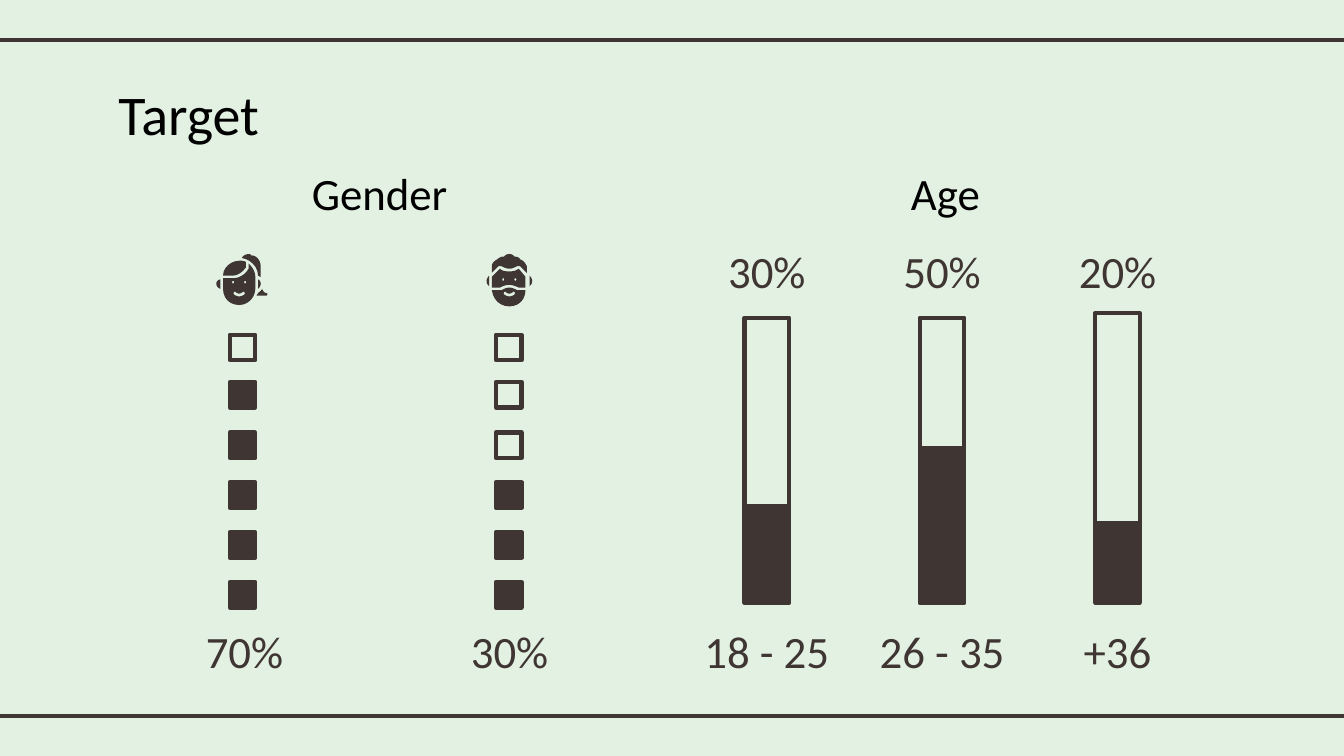
from dataclasses import dataclass

from lxml.etree import SubElement
from pptx import Presentation
from pptx.dml.color import RGBColor
from pptx.enum.shapes import MSO_CONNECTOR, MSO_SHAPE
from pptx.enum.text import MSO_ANCHOR, MSO_AUTO_SIZE, PP_ALIGN
from pptx.oxml.ns import qn
from pptx.util import Pt

DARK, BLACK, PAPER = "3F3533", "000000", "E3F1E2"
FONT = "Calibri"
LINE_WIDTH = 2.25
HUNDREDTH_INCH = 0.72  # points per unit of the icon outlines
CURVE_STEPS = 6
SQUARE_SIZE = 13.7
SQUARE_TOPS = (179.3, 204.6, 231.7, 258.4, 285.1, 311.8)
BAR_WIDTH, BAR_BOTTOM = 23.8, 322.8
LABEL_TOP, LABEL_WIDTH, LABEL_HEIGHT = 334.8, 96.5, 28


@dataclass(frozen=True)
class Gender:
    share: str
    label_center: float
    squares_left: float
    filled: int
    icon: tuple[tuple[str, ...], ...]


@dataclass(frozen=True)
class AgeGroup:
    share: str
    ages: str
    center: float
    frame_top: float
    frame_height: float
    filled_height: float


def face_features(x: float, eye_y: float) -> tuple[str, ...]:
    """Outlines of two eyes and a smile, centred on x, that are cut out of a face."""
    eyes = tuple(
        f"{e},{eye_y - 1} {e + 1},{eye_y - 1}/{e + 1},{eye_y + 1}/{e},{eye_y + 1} "
        f"{e - 1},{eye_y + 1}/{e - 1},{eye_y - 1}/{e},{eye_y - 1}"
        for e in (x - 4.5, x + 4.5)
    )
    smile = (
        f"{x + 3},217 {x + 4},217/{x + 4.5},218/{x + 4},219 {x + 3},220/{x + 1},220.6/{x},220.6 "
        f"{x - 1},220.6/{x - 3},220/{x - 4},219 {x - 4.5},218/{x - 4},217/{x - 3},217 "
        f"{x - 2},218/{x - 1},218.5/{x},218.5 {x + 1},218.5/{x + 2},218/{x + 3},217"
    )
    return eyes + (smile,)


# Each outline is a tuple of contours; "x,y" is a line and "x,y/x,y/x,y" a curve.
MAN_EYES = face_features(379, 208)[:2]
MAN_SMILE = face_features(379, 208)[2:]
MAN = (
    ("364,205 363,206/362,208/362,209 362,211/363,212/364,213",),
    ("372,200 366,206 366,214 372,214 374,213/376,212/379,212 381,212/384,213/386,214 "
     "391,214 391,206 386,200 383,202/381,202/379,202 377,202/374,202/372,200",) + MAN_EYES,
    ("379,189 377,189/376,190/375,191 374,191 373,191/371,192/370,193 368,194/366,196/366,198 "
     "366,203 371,198 372,198/373,198/373,198 375,199/377,200/379,200 381,200/383,199/385,198 "
     "387,198 392,203 392,198 391,196/390,194/387,193 387,192/385,191/383,191 "
     "382,190/381,189/379,189",),
    ("379,214 377,214/375,215/373,216 366,216 367,223/372,228/379,228 386,228/391,223/391,216 "
     "385,216 383,215/381,214/379,214",) + MAN_SMILE,
    ("394,205 394,213 395,212/396,211/396,209 396,208/395,206/394,205",),
)
WOMAN = (
    ("186,189 183,189/181,190/180,192 186,193/192,198/192,205 193,206/194,206/194,206 "
     "194,198 194,194/191,190/187,190",),
    ("195,215 194,217/193,217/192,218 192,219/191,219/191,220 198,220 198,220/199,220/199,219 "
     "199,219/199,218/198,218 197,218/196,217/195,215",),
    ("178,194 172,194/166,199/166,205 174,205 177,205/181,202/183,199 183,198/183,196/183,195 "
     "182,194/180,194/178,194",),
    ("185,196 185,198/185,199/185,200 183,204/178,207/174,207 166,207 166,215 "
     "166,222/171,227/178,227 185,227/190,221/190,215 190,206 190,202/188,199/185,196",)
    + face_features(178, 210),
    ("192,208 192,215 193,214/194,213/194,211 194,210/193,208/192,208",),
    ("164,208 162,208/161,210/161,211 161,213/162,214/164,215",),
)

GENDERS = (
    Gender("70%", 131, 123.1, 5, WOMAN),
    Gender("30%", 273, 265.7, 3, MAN),
)
AGE_GROUPS = (
    AgeGroup("30%", "18 - 25", 410.8, 170.2, 152.6, 51.8),
    AgeGroup("50%", "26 - 35", 504.7, 170.2, 152.6, 82.8),
    AgeGroup("20%", "+36", 598.7, 167.8, 146.2, 42.5),
)


def color(hex_value: str) -> RGBColor:
    return RGBColor.from_string(hex_value)


def style_text(shape, text: str, size: float, ink: str, align, anchor) -> None:
    frame = shape.text_frame
    frame.text = text
    frame.word_wrap = True
    frame.auto_size = MSO_AUTO_SIZE.NONE
    frame.vertical_anchor = anchor
    frame.margin_left = frame.margin_right = Pt(7.2)
    frame.margin_top = frame.margin_bottom = Pt(7.2)
    para = frame.paragraphs[0]
    para.alignment = align
    font = para.runs[0].font
    font.name, font.size = FONT, Pt(size)
    font.color.rgb = color(ink)


def add_label(page, text: str, center: float, top: float, width: float, height: float,
              ink: str = DARK):
    box = page.shapes.add_textbox(Pt(center - width / 2), Pt(top), Pt(width), Pt(height))
    style_text(box, text, 24, ink, PP_ALIGN.CENTER, MSO_ANCHOR.MIDDLE)
    return box


def add_box(page, left: float, top: float, width: float, height: float, filled: bool) -> None:
    shape = page.shapes.add_shape(MSO_SHAPE.RECTANGLE, Pt(left), Pt(top), Pt(width), Pt(height))
    shape.shadow.inherit = False
    if filled:
        shape.fill.solid()
        shape.fill.fore_color.rgb = color(DARK)
    else:
        shape.fill.background()
    shape.line.color.rgb = color(DARK)
    shape.line.width = Pt(LINE_WIDTH)


def add_rule(page, y: float) -> None:
    rule = page.shapes.add_connector(MSO_CONNECTOR.STRAIGHT, Pt(0), Pt(y), Pt(720), Pt(y))
    rule.line.color.rgb = color(DARK)
    rule.line.width = Pt(LINE_WIDTH)
    SubElement(rule._element.spPr, qn("a:effectLst"))


def trace(contour: str) -> list[tuple[int, int]]:
    """Turn a contour into points, sampling its cubic curves."""
    points = []
    for token in contour.split():
        ends = [tuple(float(n) for n in pair.split(",")) for pair in token.split("/")]
        if len(ends) == 1:
            points += ends
            continue
        corners = [points[-1], *ends]
        for step in range(1, CURVE_STEPS + 1):
            t = step / CURVE_STEPS
            weights = ((1 - t) ** 3, 3 * t * (1 - t) ** 2, 3 * t * t * (1 - t), t ** 3)
            points.append(tuple(sum(w * c[axis] for w, c in zip(weights, corners))
                                for axis in (0, 1)))
    return [(Pt(x * HUNDREDTH_INCH), Pt(y * HUNDREDTH_INCH)) for x, y in points]


def add_icon(page, outlines: tuple[tuple[str, ...], ...]) -> None:
    group = page.shapes.add_group_shape()
    for outline in outlines:
        first, *holes = [trace(contour) for contour in outline]
        builder = group.shapes.build_freeform(*first[0])
        builder.add_line_segments(first[1:], close=True)
        for hole in holes:
            builder.move_to(*hole[0])
            builder.add_line_segments(hole[1:], close=True)
        part = builder.convert_to_shape()
        part.shadow.inherit = False
        part.fill.solid()
        part.fill.fore_color.rgb = color(DARK)
        part.line.fill.background()


def add_gender(page, gender: Gender) -> None:
    add_icon(page, gender.icon)
    first_filled = len(SQUARE_TOPS) - gender.filled
    for row, top in enumerate(SQUARE_TOPS):
        add_box(page, gender.squares_left, top, SQUARE_SIZE, SQUARE_SIZE, row >= first_filled)
    add_label(page, gender.share, gender.label_center, LABEL_TOP, LABEL_WIDTH, LABEL_HEIGHT)


def add_age_group(page, group: AgeGroup) -> None:
    left = group.center - BAR_WIDTH / 2
    add_box(page, left, group.frame_top, BAR_WIDTH, group.frame_height, False)
    add_box(page, left, BAR_BOTTOM - group.filled_height, BAR_WIDTH, group.filled_height, True)
    add_label(page, group.share, group.center, 134.6, 65.5, 21)
    add_label(page, group.ages, group.center, LABEL_TOP, LABEL_WIDTH, LABEL_HEIGHT)


def main() -> None:
    deck = Presentation()
    deck.slide_width, deck.slide_height = Pt(720), Pt(405)
    page = deck.slides.add_slide(deck.slide_layouts[5])
    page.background.fill.solid()
    page.background.fill.fore_color.rgb = color(PAPER)

    for y in (21.6, 383.8):
        add_rule(page, y)
    title = page.shapes.title
    title.left, title.top, title.width, title.height = Pt(56.2), Pt(35.3), Pt(607.7), Pt(45.4)
    style_text(title, "Target", 30, BLACK, PP_ALIGN.LEFT, MSO_ANCHOR.TOP)
    for heading, center in (("Gender", 202), ("Age", 505.1)):
        box = add_label(page, heading, center, 89.3, 218.2, 28, BLACK)
        box.text_frame.margin_right = Pt(4.3)

    for gender in GENDERS:
        add_gender(page, gender)
    for group in AGE_GROUPS:
        add_age_group(page, group)
    deck.save("out.pptx")


if __name__ == "__main__":
    main()
